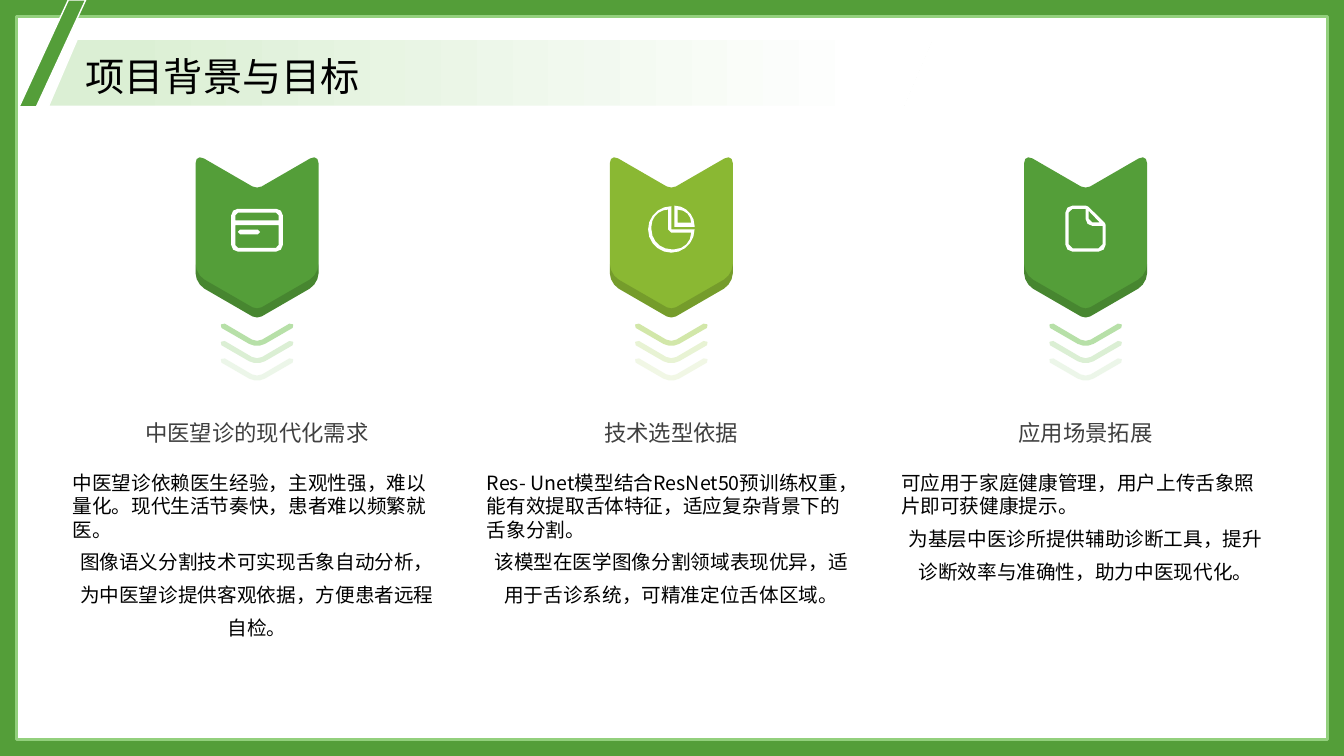
from dataclasses import dataclass
from typing import NamedTuple

from lxml import etree
from pptx import Presentation
from pptx.dml.color import RGBColor
from pptx.enum.shapes import MSO_SHAPE
from pptx.enum.text import MSO_ANCHOR, PP_ALIGN
from pptx.oxml.ns import qn
from pptx.util import Pt

RECTANGLE = MSO_SHAPE.RECTANGLE
PARALLELOGRAM = MSO_SHAPE.PARALLELOGRAM
LEFT, CENTER = PP_ALIGN.LEFT, PP_ALIGN.CENTER
TOP, MIDDLE = MSO_ANCHOR.TOP, MSO_ANCHOR.MIDDLE
FONT = "Noto Sans CJK SC"
COLORS = {
    "green": "549E39", "lime": "8AB833", "frame": "93D07D",
    "green_mid": "B7E0A8", "green_pale": "DBEFD4",
    "lime_mid": "D2E7A9", "lime_pale": "E8F3D4",
    "white": "FFFFFF", "black": "000000", "heading": "404040",
}
FIRST_CENTER, COLUMN_PITCH, COLUMN_WIDTH = 183.6, 295.92, 263.5
CHEVRON_PITCH = 12.4
ROUNDNESS = 0.55


class Corner(NamedTuple):
    x: float
    y: float
    radius: float = 0


class Area(NamedTuple):
    left: float
    top: float
    width: float
    height: float


Contour = list[Corner]


@dataclass
class TextLine:
    text: str
    size: float
    color: str
    spacing: float | Pt
    align: PP_ALIGN = CENTER


@dataclass
class Column:
    heading: str
    need: str
    answer: str
    tone: str
    last_opacity: int
    icon: list[Contour]


def rounded_box(left: float, top: float, right: float, bottom: float,
                upper: float, lower: float) -> Contour:
    return [Corner(left, top, upper), Corner(right, top, upper),
            Corner(right, bottom, lower), Corner(left, bottom, lower)]


RIBBON = [Corner(43.92, 109.7, 6.9), Corner(0, 135.1, 3.8), Corner(-43.92, 109.7, 6.9),
          Corner(-43.92, 202.5, 7.3), Corner(0, 227.9, 3.8), Corner(43.92, 202.5, 7.3)]
RIBBON_EDGE = [Corner(43.92, 188.6), Corner(43.92, 202.5, 7.3), Corner(0, 227.9, 3.8),
               Corner(-43.92, 202.5, 7.3), Corner(-43.92, 188.6),
               Corner(-43.92, 196.1, 7.3), Corner(0, 221.4, 3.8), Corner(43.92, 196.1, 7.3)]
CHEVRON = [Corner(24.5, 230.3, 1.7), Corner(0, 244.7, 4.2), Corner(-24.5, 230.3, 1.7),
           Corner(-26.9, 233.4, 1.7), Corner(0, 248.9, 6.5), Corner(26.9, 233.4, 1.7)]
CARD = [rounded_box(-18.4, 149.2, 18.4, 179.7, 4.6, 4.6),
        rounded_box(-15.5, 151.9, 15.5, 157.5, 2, 0),
        rounded_box(-15.5, 160.8, 15.5, 177.1, 0, 2),
        rounded_box(-13.7, 164, 2.2, 167.5, 1.7, 1.7)]
PIE = [[Corner(0, 147.3), Corner(0, 163.9), Corner(16.6, 163.9), Corner(16.6, 180.5, 16.6),
        Corner(-16.6, 180.5, 16.6), Corner(-16.6, 147.3, 16.6)],
       [Corner(-2.2, 149.7), Corner(-2.2, 166.2, 2.2), Corner(14.2, 166.2),
        Corner(14.2, 178.1, 11.9), Corner(-14.2, 178.1, 14.2), Corner(-14.2, 149.7, 12)],
       [Corner(2.2, 146.9), Corner(16.6, 146.9, 14.4), Corner(16.6, 162), Corner(2.2, 162)],
       [Corner(4.6, 149.8), Corner(14.2, 149.8, 9.3), Corner(14.2, 159.1), Corner(4.6, 159.1)]]
DOCUMENT = [[Corner(-14.4, 146.9, 5), Corner(1.2, 146.9, 1), Corner(14.4, 159.8, 1),
             Corner(14.4, 179.7, 5), Corner(-14.4, 179.7, 5)],
            [Corner(-12, 149.2, 2.6), Corner(0, 149.2), Corner(0, 161.4, 5),
             Corner(12.2, 161.4), Corner(12.2, 177.4, 2.9), Corner(-12, 177.4, 2.9)],
            [Corner(2.2, 150.6), Corner(10.1, 158.9), Corner(2.2, 158.9, 2.6)]]
COLUMNS = [
    Column("中医望诊的现代化需求",
           "中医望诊依赖医生经验，主观性强，难以量化。现代生活节奏快，患者难以频繁就医。",
           "图像语义分割技术可实现舌象自动分析，为中医望诊提供客观依据，方便患者远程自检。",
           "green", 50, CARD),
    Column("技术选型依据",
           "Res- Unet模型结合ResNet50预训练权重，能有效提取舌体特征，适应复杂背景下的舌象分割。",
           "该模型在医学图像分割领域表现优异，适用于舌诊系统，可精准定位舌体区域。",
           "lime", 60, PIE),
    Column("应用场景拓展",
           "可应用于家庭健康管理，用户上传舌象照片即可获健康提示。",
           "为基层中医诊所提供辅助诊断工具，提升诊断效率与准确性，助力中医现代化。",
           "green", 50, DOCUMENT),
]


def rgb(color: str) -> RGBColor:
    return RGBColor.from_string(COLORS[color])


def toward(start: Corner, end: Corner, distance: float) -> Corner:
    length = ((end.x - start.x) ** 2 + (end.y - start.y) ** 2) ** 0.5
    share = distance / length
    return Corner(start.x + (end.x - start.x) * share, start.y + (end.y - start.y) * share)


def trace(contour: Contour, center: float, drop: float) -> list[tuple[int, int]]:
    points = []
    for index, corner in enumerate(contour):
        if not corner.radius:
            points.append((corner.x, corner.y))
            continue
        start = toward(corner, contour[index - 1], corner.radius)
        end = toward(corner, contour[(index + 1) % len(contour)], corner.radius)
        steps = min(5, 1 + int(corner.radius / 3))
        for step in range(steps + 1):
            t = step / steps
            a, b, c, d = (1 - t) ** 3, 3 * t * (1 - t) ** 2, 3 * t * t * (1 - t), t ** 3
            from_start, from_end = a + b * (1 - ROUNDNESS), d + c * (1 - ROUNDNESS)
            pull = (b + c) * ROUNDNESS
            points.append((from_start * start.x + from_end * end.x + pull * corner.x,
                           from_start * start.y + from_end * end.y + pull * corner.y))
    return [(Pt(center + x), Pt(y + drop)) for x, y in points]


def draw_outline(page, contours: list[Contour], center: float, color: str,
                 opacity: int = 100, drop: float = 0) -> None:
    traces = [trace(contour, center, drop) for contour in contours]
    builder = page.shapes.build_freeform(*traces[0][0])
    builder.add_line_segments(traces[0][1:], close=True)
    for points in traces[1:]:
        builder.move_to(*points[0])
        builder.add_line_segments(points[1:], close=True)
    shape = builder.convert_to_shape()
    shape.shadow.inherit = False
    shape.fill.solid()
    shape.fill.fore_color.rgb = rgb(color)
    shape.line.fill.background()
    if opacity < 100:
        tint = shape.fill._xPr.find(".//" + qn("a:srgbClr"))
        etree.SubElement(tint, qn("a:alpha")).set("val", str(opacity * 1000))


def draw_panel(page, kind: MSO_SHAPE, area: Area, color: str,
               border: str = "", weight: float = 1, slant: float = 0):
    shape = page.shapes.add_shape(kind, *map(Pt, area))
    shape.shadow.inherit = False
    shape.fill.solid()
    shape.fill.fore_color.rgb = rgb(color)
    if border:
        shape.line.color.rgb = rgb(border)
        shape.line.width = Pt(weight)
    else:
        shape.line.fill.background()
    if slant:
        shape.adjustments[0] = slant
    return shape


def write_text(page, area: Area, lines: list[TextLine], anchor: MSO_ANCHOR) -> None:
    frame = page.shapes.add_textbox(*map(Pt, area)).text_frame
    frame.word_wrap = True
    frame.vertical_anchor = anchor
    frame.margin_left = frame.margin_top = frame.margin_right = frame.margin_bottom = 0
    for index, line in enumerate(lines):
        para = frame.add_paragraph() if index else frame.paragraphs[0]
        para.alignment = line.align
        para.line_spacing = line.spacing
        span = para.add_run()
        span.text = line.text
        span.font.size = Pt(line.size)
        span.font.color.rgb = rgb(line.color)
        span.font.name = FONT
        etree.SubElement(span.font._rPr, qn("a:ea")).set("typeface", FONT)


def draw_column(page, column: Column, center: float) -> None:
    draw_outline(page, [RIBBON], center, column.tone)
    draw_outline(page, [RIBBON_EDGE], center, "black", 15)
    chevrons = [("mid", 100), ("pale", 100), ("pale", column.last_opacity)]
    for index, (shade, opacity) in enumerate(chevrons):
        draw_outline(page, [CHEVRON], center, f"{column.tone}_{shade}", opacity,
                     index * CHEVRON_PITCH)
    draw_outline(page, column.icon, center, "white")
    left = center - COLUMN_WIDTH / 2
    write_text(page, Area(left, 278.6, COLUMN_WIDTH, 56.9),
               [TextLine(column.heading, 16, "heading", 1.2)], MIDDLE)
    write_text(page, Area(left, 336.2, COLUMN_WIDTH, 127.4),
               [TextLine(column.need, 14, "black", Pt(16.8), LEFT),
                TextLine(column.answer, 14, "black", Pt(23.3))], TOP)


def main() -> None:
    deck = Presentation()
    deck.slide_width, deck.slide_height = Pt(960), Pt(540)
    page = deck.slides.add_slide(deck.slide_layouts[6])
    draw_panel(page, RECTANGLE, Area(0, 0, 960, 540), "green")
    draw_panel(page, RECTANGLE, Area(12, 12, 936, 516), "white", "frame", 2)
    for index, column in enumerate(COLUMNS):
        draw_column(page, column, FIRST_CENTER + index * COLUMN_PITCH)
    banner = draw_panel(page, PARALLELOGRAM, Area(34.6, 28, 631.4, 48), "white", "white", 1, 0.43)
    banner.fill.gradient()
    banner.fill.gradient_angle = 0
    stops = [(0.08, "green_pale"), (0.93, "white")]
    for stop, (position, color) in zip(banner.fill.gradient_stops, stops):
        stop.position = position
        stop.color.rgb = rgb(color)
    write_text(page, Area(61.2, 33.8, 465.8, 36.7),
               [TextLine("项目背景与目标", 28, "black", 1.1, LEFT)], MIDDLE)
    draw_panel(page, PARALLELOGRAM, Area(13.7, 0, 47.5, 76.3), "green", "white", 1, 0.74)
    deck.save("out.pptx")


if __name__ == "__main__":
    main()
